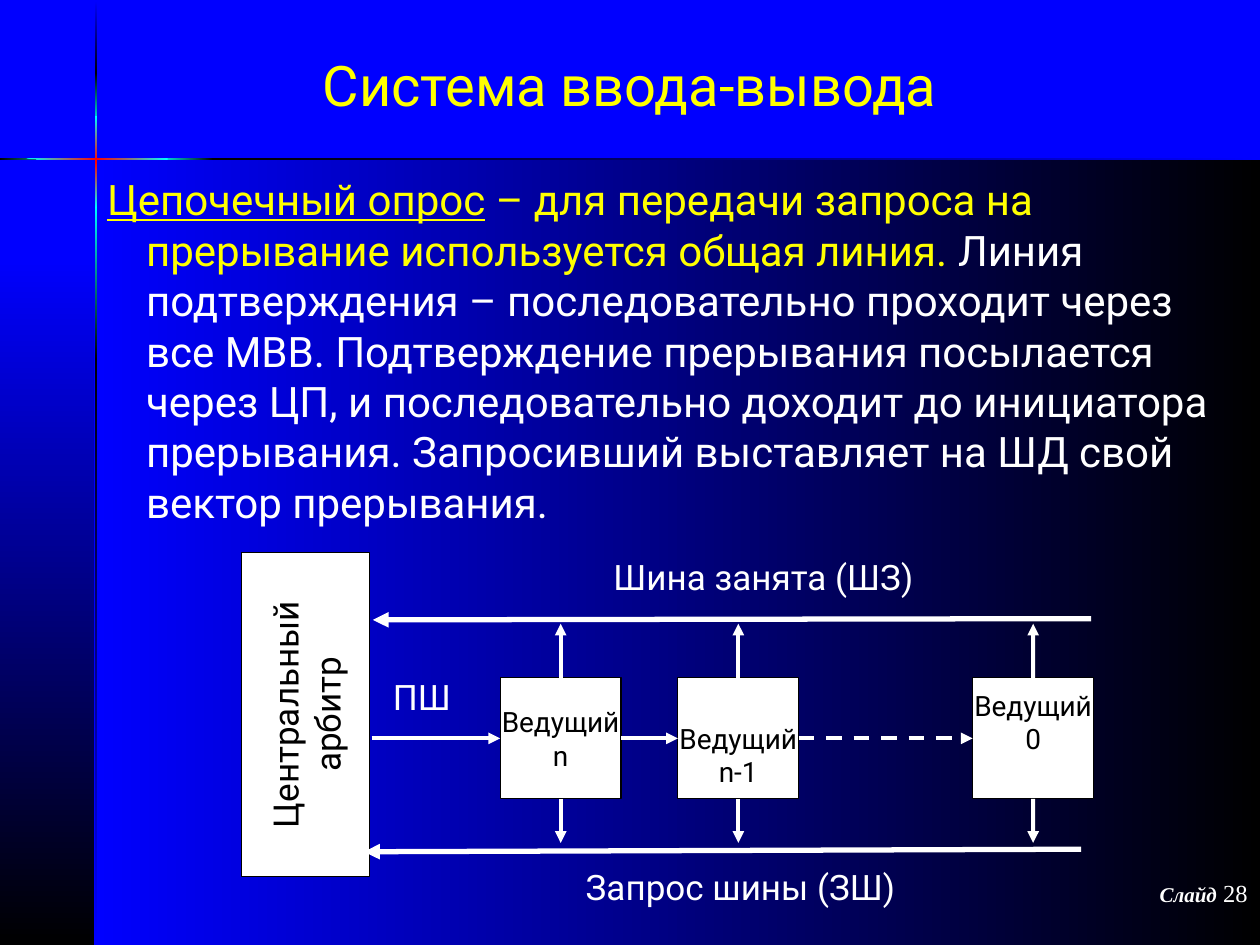
from copy import deepcopy

from lxml.etree import SubElement
from pptx import Presentation
from pptx.dml.color import RGBColor
from pptx.enum.dml import MSO_LINE_DASH_STYLE as Dash
from pptx.enum.shapes import MSO_CONNECTOR as Connector, MSO_SHAPE as Shape
from pptx.enum.text import MSO_ANCHOR as Anchor, MSO_AUTO_SIZE as AutoSize, PP_ALIGN as Align
from pptx.oxml.ns import qn
from pptx.util import Inches, Pt

COLUMN = ROW = Inches(1)
BLUE, BLACK, CYAN, RED = "0000FF", "000000", "00FFFF", "FF0000"
WHITE, YELLOW = "FFFFFF", "FFFF00"
RULE = 0.02
MASTER_SIDE, MASTER_TOP = 0.96, 5.38
BUSY_LEVEL, REQUEST_LEVEL = 4.95, 6.69
TEXT_ROW = 0.31


def rgb(value):
    """Turn a hex string into a colour."""
    return RGBColor.from_string(value)


def cells(*lengths):
    """Turn grid columns and rows (10 by 7.5) into slide lengths."""
    return [int(length * COLUMN) for length in lengths]


def place(shape, *box):
    """Move a shape to a grid box."""
    shape.left, shape.top, shape.width, shape.height = cells(*box)


def write(paragraph, text, size, color, font="Roboto", bold=None, italic=None, underline=None):
    """Add one formatted run per line of text."""
    for index, line in enumerate(text.split("\n")):
        if index:
            paragraph.add_line_break()
        run = paragraph.add_run()
        run.text = line
        style = run.font
        style.name, style.size, style.color.rgb = font, Pt(size), rgb(color)
        style.bold, style.italic, style.underline = bold, italic, underline


def shade(shape, colors, angle):
    """Fill a frame part with an even gradient and no outline."""
    shape.shadow.inherit = False
    shape.line.fill.background()
    shape.fill.gradient()
    shape.fill.gradient_angle = -angle % 360
    stop_list = shape.element.spPr.find(qn("a:gradFill")).find(qn("a:gsLst"))
    for _ in colors[2:]:
        stop_list.append(deepcopy(stop_list[-1]))
    for index, (stop, color) in enumerate(zip(shape.fill.gradient_stops, colors)):
        stop.position = index / (len(colors) - 1)
        stop.color.rgb = rgb(color)


def add_frame(slide):
    """Draw the shaded panels and the glowing cross of rules."""
    bars = [
        (0.75, 1.25, 9.25, 6.25, (BLUE, BLACK), 0),
        (0, 2.02, 0.75, 5.48, (BLUE, BLACK), 90),
        (0.75, 0.01, RULE, 0.58, (BLUE, BLACK), 90),
        (0.75, 2.82, RULE, 4.68, (BLACK, BLUE), 90),
        (0.75, 1.63, RULE, 1.22, (CYAN, BLACK), 90),
        (0.75, 0.58, RULE, 0.44, (BLACK, CYAN), 90),
        (0.75, 0.92, RULE, 0.73, (CYAN, RED, CYAN), 90),
        (0, 1.25, 0.61, RULE, (BLACK, CYAN), 0),
        (1.67, 1.25, 8.33, RULE, (BLACK, BLUE), 0),
        (1.25, 1.25, 0.44, RULE, (CYAN, BLACK), 0),
    ]
    for *box, colors, angle in bars:
        shade(slide.shapes.add_shape(Shape.RECTANGLE, *cells(*box)), colors, angle)
    outline = slide.shapes.build_freeform(*cells(0.21, 1.26))
    corners = [(0.6, 1.27), (1.33, 1.27), (1.33, 1.25), (0.6, 1.25)]
    outline.add_line_segments([cells(*corner) for corner in corners])
    shade(outline.convert_to_shape(), (CYAN, RED, CYAN), 0)


def raise_to_front(shape):
    """Put a placeholder above everything drawn so far."""
    shape.element.getparent().append(shape.element)


def add_title(slide, text):
    """Fill the title placeholder."""
    title = slide.shapes.title
    place(title, 0, 0.25, 10, 0.83)
    frame = title.text_frame
    frame.auto_size, frame.vertical_anchor = AutoSize.NONE, Anchor.MIDDLE
    frame.paragraphs[0].alignment = Align.CENTER
    write(frame.paragraphs[0], text, 32, YELLOW)
    raise_to_front(title)


def add_definition(slide, term, meaning, details):
    """Fill the body placeholder with one hanging paragraph."""
    body = slide.placeholders[1]
    place(body, 0.75, 1.33, 9.03, 2.96)
    frame = body.text_frame
    frame.auto_size, frame.vertical_anchor = AutoSize.NONE, Anchor.TOP
    paragraph = frame.paragraphs[0]
    paragraph.space_before = Pt(6)
    properties = paragraph._p.get_or_add_pPr()
    properties.set("marL", str(Inches(0.31)))
    properties.set("indent", str(-Inches(0.31)))
    SubElement(properties, qn("a:buNone"))
    write(paragraph, term, 24, YELLOW, underline=True)
    write(paragraph, meaning, 24, YELLOW)
    write(paragraph, details, 24, WHITE)
    raise_to_front(body)


def add_label(slide, text, *box):
    """Add a white one-line caption."""
    frame = slide.shapes.add_textbox(*cells(*box)).text_frame
    frame.word_wrap, frame.auto_size = False, AutoSize.SHAPE_TO_FIT_TEXT
    write(frame.paragraphs[0], text, 20, WHITE)


def add_block(slide, paragraphs, size, box, rows_above=0, rows_below=0):
    """Add a white device box with centred lines of text."""
    block = slide.shapes.add_shape(Shape.RECTANGLE, *cells(*box))
    block.shadow.inherit = False
    block.fill.solid()
    block.fill.fore_color.rgb = rgb(WHITE)
    block.line.color.rgb, block.line.width = rgb(BLACK), Pt(0.75)
    frame = block.text_frame
    frame.word_wrap, frame.vertical_anchor = False, Anchor.MIDDLE
    frame.margin_top = Inches(0.05 + rows_above * 0.26)
    frame.margin_bottom = Inches(0.05 + rows_below * 0.26)
    for index, text in enumerate(paragraphs):
        paragraph = frame.add_paragraph() if index else frame.paragraphs[0]
        paragraph.alignment = Align.CENTER
        write(paragraph, text, size, BLACK)
    return block


def add_arrow(slide, start, end, width=2.25, dash=None, source=None, target=None):
    """Add a white arrow, joined to (block, side) pairs where given."""
    arrow = slide.shapes.add_connector(Connector.STRAIGHT, *cells(*start, *end))
    if source:
        arrow.begin_connect(*source)
    if target:
        arrow.end_connect(*target)
    arrow.line.color.rgb, arrow.line.width = rgb(WHITE), Pt(width)
    if dash:
        arrow.line.dash_style = dash
    properties = arrow.element.spPr
    SubElement(properties.find(qn("a:ln")), qn("a:tailEnd"), type="triangle")
    SubElement(properties, qn("a:effectLst"))


def add_polling_chain(slide):
    """Draw the arbiter, the chained masters and the two shared lines."""
    middle = MASTER_TOP + MASTER_SIDE / 2
    arbiter = add_block(slide, ["Центральный\nарбитр"], 20, (1.14, 5.16, 2.57, 1.02))
    arbiter.rotation = 270
    masters = []
    for left, number, above, below in [(3.97, "n", 0, 0), (5.38, "n-1", 1, 0), (7.72, "0", 0, 1)]:
        box = (left, MASTER_TOP, MASTER_SIDE, MASTER_SIDE)
        master = add_block(slide, ["Ведущий", number], 16, box, above, below)
        center = left + MASTER_SIDE / 2
        for side, level in [(0, BUSY_LEVEL), (2, REQUEST_LEVEL)]:
            add_arrow(slide, (center, middle), (center, level), source=(master, side))
        masters.append(master)
    first, second, last = masters
    add_arrow(slide, (2.95, middle), (3.97, middle), target=(first, 1))
    for giver, taker, dash in [(first, second, None), (second, last, Dash.DASH)]:
        add_arrow(slide, (0, 0), (1, 1), dash=dash, source=(giver, 3), target=(taker, 1))
    add_arrow(slide, (8.66, 4.91), (2.96, 4.92), width=3)
    add_arrow(slide, (8.58, 6.74), (2.89, 6.76), width=3)
    add_label(slide, "Шина занята (ШЗ)", 4.77, 4.36, 2.68, 0.44)
    add_label(slide, "ПШ", 3.02, 5.31, 0.69, 0.44)
    add_label(slide, "Запрос шины (ЗШ)", 4.55, 6.82, 2.75, 0.44)


def add_slide_number(slide, number):
    """Write the slide counter in the lower right corner."""
    frame = slide.shapes.add_textbox(*cells(7.92, 6.92, 2.08, 0.5)).text_frame
    frame.word_wrap = True
    paragraph = frame.paragraphs[0]
    paragraph.alignment = Align.RIGHT
    write(paragraph, "Слайд", 12, WHITE, "Times New Roman", bold=True, italic=True)
    write(paragraph, f" {number}", 14, WHITE, "Times New Roman")


def main():
    """Build and save the slide."""
    deck = Presentation()
    deck.slide_width, deck.slide_height = 10 * COLUMN, int(7.5 * ROW)
    slide = deck.slides.add_slide(deck.slide_layouts[1])
    slide.background.fill.solid()
    slide.background.fill.fore_color.rgb = rgb(BLUE)
    add_frame(slide)
    add_slide_number(slide, 28)
    add_title(slide, "Система ввода-вывода")
    add_definition(
        slide,
        "Цепочечный опрос",
        " – для передачи запроса на прерывание используется общая линия.",
        " Линия подтверждения – последовательно проходит через все МВВ. "
        "Подтверждение прерывания посылается через ЦП, и последовательно доходит "
        "до инициатора прерывания. Запросивший выставляет на ШД свой вектор прерывания.",
    )
    add_polling_chain(slide)
    deck.save("out.pptx")


if __name__ == "__main__":
    main()
